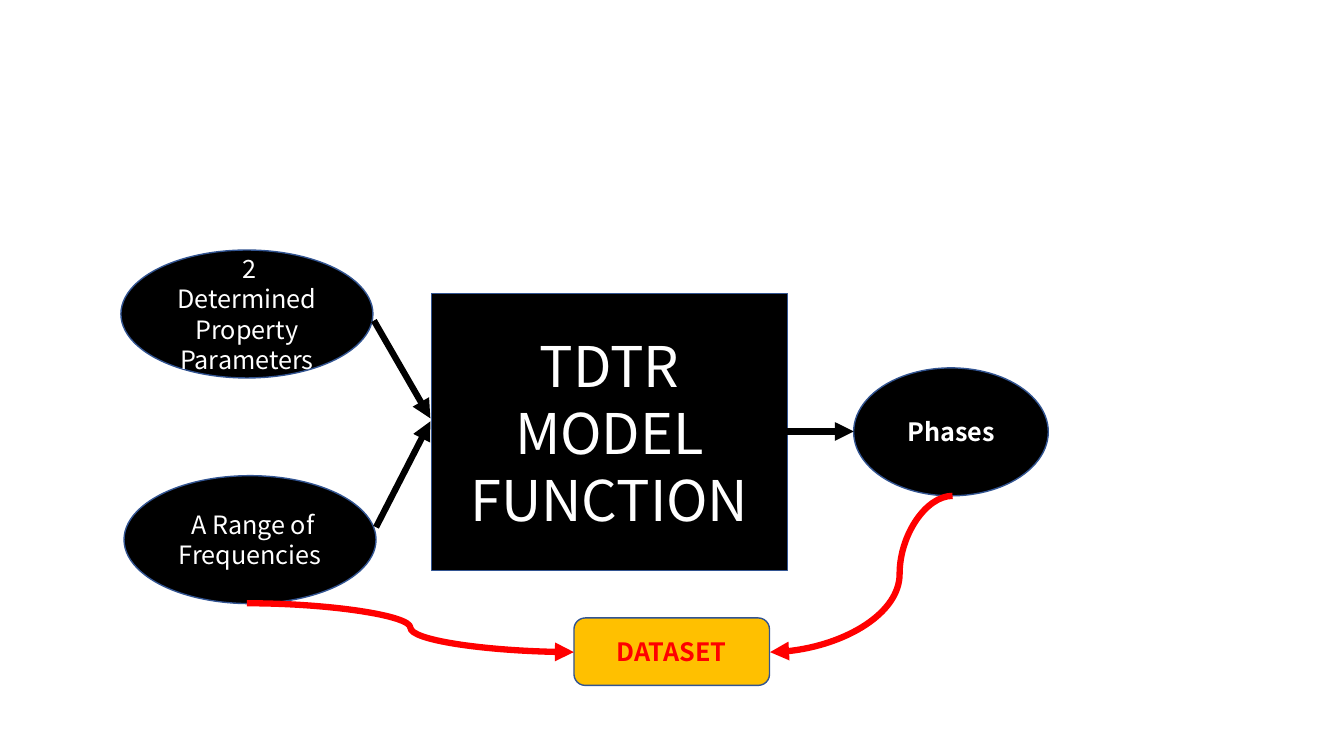
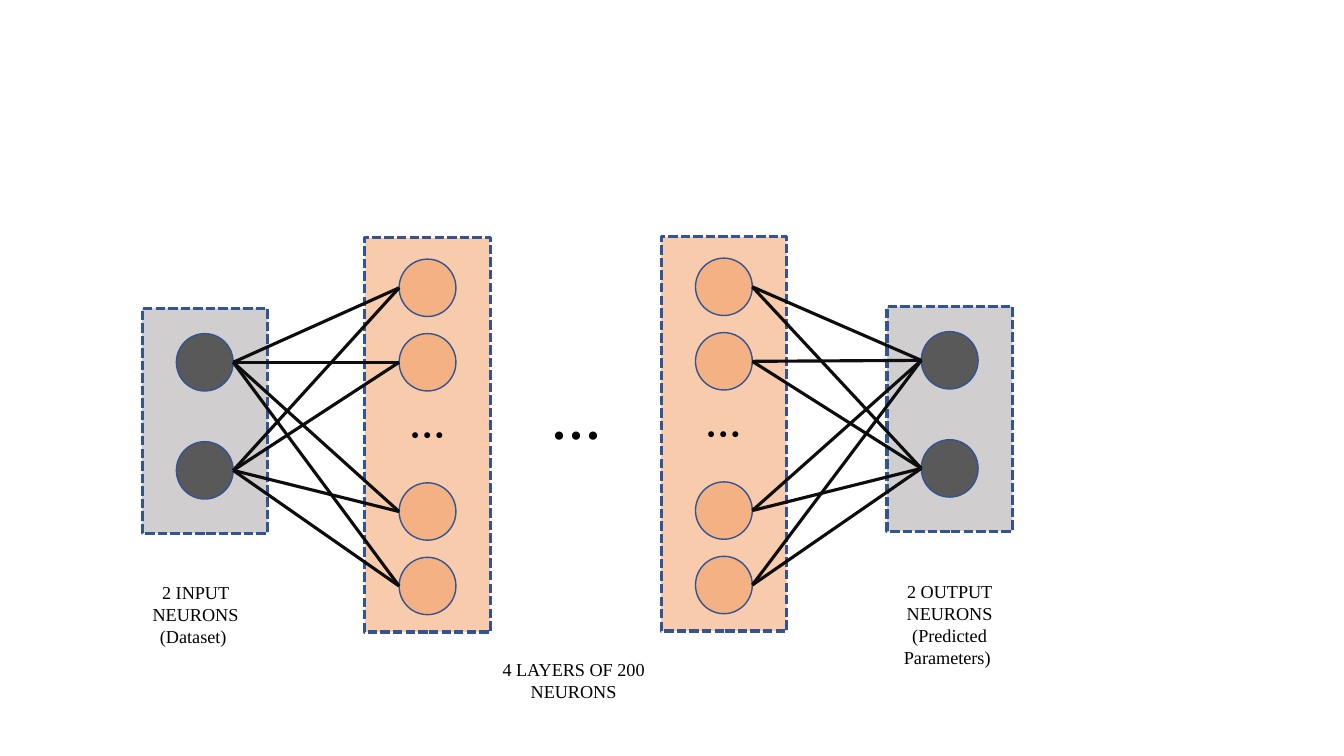
from itertools import product

from lxml import etree
from pptx import Presentation
from pptx import util as u
from pptx.dml.color import RGBColor
from pptx.enum import dml, shapes, text
from pptx.oxml.ns import qn

BLACK, WHITE, RED, AMBER = "000000", "FFFFFF", "FF0000", "FFC000"
OUTLINE, LINK = "325491", "0D0D0D"
SANS, SERIF = "Noto Sans CJK SC", "Times New Roman"
KIND = shapes.MSO_SHAPE


def color(value):
    return RGBColor.from_string(value)


def points(values):
    return [u.Pt(v) for v in values]


class Diagram:
    """Holds the presentation, its shared style and the current slide."""

    def __init__(self):
        self.deck = Presentation()
        self.deck.slide_width, self.deck.slide_height = points((960, 540))

    def new_slide(self):
        self.slide = self.deck.slides.add_slide(self.deck.slide_layouts[6])

    def add_lines(self, frame, lines, ink, **font):
        frame.word_wrap = True
        for number, line in enumerate(lines):
            paragraph = frame.add_paragraph() if number else frame.paragraphs[0]
            paragraph.alignment = text.PP_ALIGN.CENTER
            run = paragraph.add_run()
            run.text = line
            run.font.color.rgb = color(ink)
            for key, value in font.items():
                setattr(run.font, key, value)

    def block(self, kind, box, fill, lines=(), ink=WHITE, size=18, bold=False,
              width=1, dash=None):
        shape = self.slide.shapes.add_shape(kind, *points(box))
        shape.shadow.inherit = False
        shape.fill.solid()
        shape.fill.fore_color.rgb = color(fill)
        shape.line.color.rgb = color(OUTLINE)
        shape.line.width = u.Pt(width)
        if dash:
            shape.line.dash_style = dash
        shape.text_frame.vertical_anchor = text.MSO_ANCHOR.MIDDLE
        self.add_lines(shape.text_frame, lines, ink, name=SANS, size=u.Pt(size), bold=bold)

    def caption(self, box, lines, size=13, bold=False):
        frame = self.slide.shapes.add_textbox(*points(box)).text_frame
        frame.auto_size = text.MSO_AUTO_SIZE.SHAPE_TO_FIT_TEXT
        self.add_lines(frame, lines, BLACK, name=SERIF, size=u.Pt(size), bold=bold)

    def link(self, start, end, ink=LINK, width=2.25, arrow=False, bend=None):
        kind = shapes.MSO_CONNECTOR.CURVE if bend else shapes.MSO_CONNECTOR.STRAIGHT
        connector = self.slide.shapes.add_connector(kind, *points((*start, *end)))
        connector.line.color.rgb = color(ink)
        connector.line.width = u.Pt(width)
        properties = connector._element.spPr
        if arrow:
            outline = properties.find(qn("a:ln"))
            etree.SubElement(outline, qn("a:tailEnd"), type="triangle")
        if bend:
            geometry = properties.find(qn("a:prstGeom"))
            guides = geometry.find(qn("a:avLst"))
            if guides is None:
                guides = etree.SubElement(geometry, qn("a:avLst"))
            etree.SubElement(guides, qn("a:gd"), name="adj1",
                             fmla=f"val {round(bend * 100000)}")
        etree.SubElement(properties, qn("a:effectLst"))


diagram = Diagram()

# Slide 1: how the dataset is produced
diagram.new_slide()
diagram.block(KIND.RECTANGLE, (308.2, 209.5, 254.2, 198), BLACK,
              ["TDTR MODEL", "FUNCTION"], size=40)
for box, label, bold in (
    ((86.4, 178.6, 180, 91.4), " 2 Determined Property Parameters", False),
    ((88.6, 339.8, 180, 91.4), " A Range of Frequencies", False),
    ((609.8, 262.8, 139, 91.4), "Phases", True),
):
    diagram.block(KIND.OVAL, box, BLACK, [label], bold=bold)
diagram.block(KIND.ROUNDED_RECTANGLE, (410, 441.4, 139.7, 48.2), AMBER,
              ["DATASET"], ink=RED, bold=True)

# Black arrows run through the model, red curves feed the dataset
for start, end, ink, bend in (
    ((267.1, 229), (307.4, 298.8), BLACK, None),
    ((268.6, 376.6), (307.4, 301), BLACK, None),
    ((562.3, 308.2), (609.8, 308.2), BLACK, None),
    ((176.4, 430.9), (409.9, 465.8), RED, 0.5),
    ((680.4, 354.2), (550.1, 465.8), RED, 0.29),
):
    diagram.link(start, end, ink, width=4.5, arrow=True, bend=bend)

# Slide 2: the neural network
diagram.new_slide()
LAYER_WIDTH, NEURON_WIDTH, NEURON_HEIGHT = 89.6, 40.6, 41
NEURON_INSET = (LAYER_WIDTH - NEURON_WIDTH) / 2
OUTER = dict(height=160.6, offsets=(18, 95.2), fill="D0CECE", neuron="595959", lines=())
HIDDEN = dict(height=281.6, offsets=(15.2, 68.4, 175, 228.2),
              fill="F8CBAD", neuron="F4B183", lines=["…"])

# Layers with their neurons, from input to output
layers = []
for left, top, layer in ((101.5, 220.3, OUTER), (260.6, 169.9, HIDDEN),
                         (472.3, 169.2, HIDDEN), (633.6, 218.9, OUTER)):
    diagram.block(KIND.RECTANGLE, (left, top, LAYER_WIDTH, layer["height"]),
                  layer["fill"], layer["lines"], ink=BLACK, size=26, bold=True,
                  width=2.25, dash=dml.MSO_LINE.SQUARE_DOT)
    neuron_left = left + NEURON_INSET
    for offset in layer["offsets"]:
        diagram.block(KIND.FLOWCHART_CONNECTOR,
                      (neuron_left, top + offset, NEURON_WIDTH, NEURON_HEIGHT),
                      layer["neuron"])
    centers = [top + offset + NEURON_HEIGHT / 2 for offset in layer["offsets"]]
    layers.append((neuron_left, centers))

# Every neuron is linked to every neuron of the neighbouring layer
for source, target in (layers[:2], layers[2:]):
    for start_y, end_y in product(source[1], target[1]):
        diagram.link((source[0] + NEURON_WIDTH, start_y), (target[0], end_y))

# Captions
diagram.caption((376.6, 274.3, 69.8, 51.1), ["…"], size=36, bold=True)
diagram.caption((95, 411.8, 89.3, 54.7), ["2 INPUT NEURONS", "(Dataset) "])
diagram.caption((342.7, 466.6, 133.9, 38.9), ["4 LAYERS OF 200 NEURONS"])
diagram.caption((633.6, 411.1, 89.3, 70.6),
                ["2 OUTPUT NEURONS (Predicted Parameters) "])

diagram.deck.save("out.pptx")
